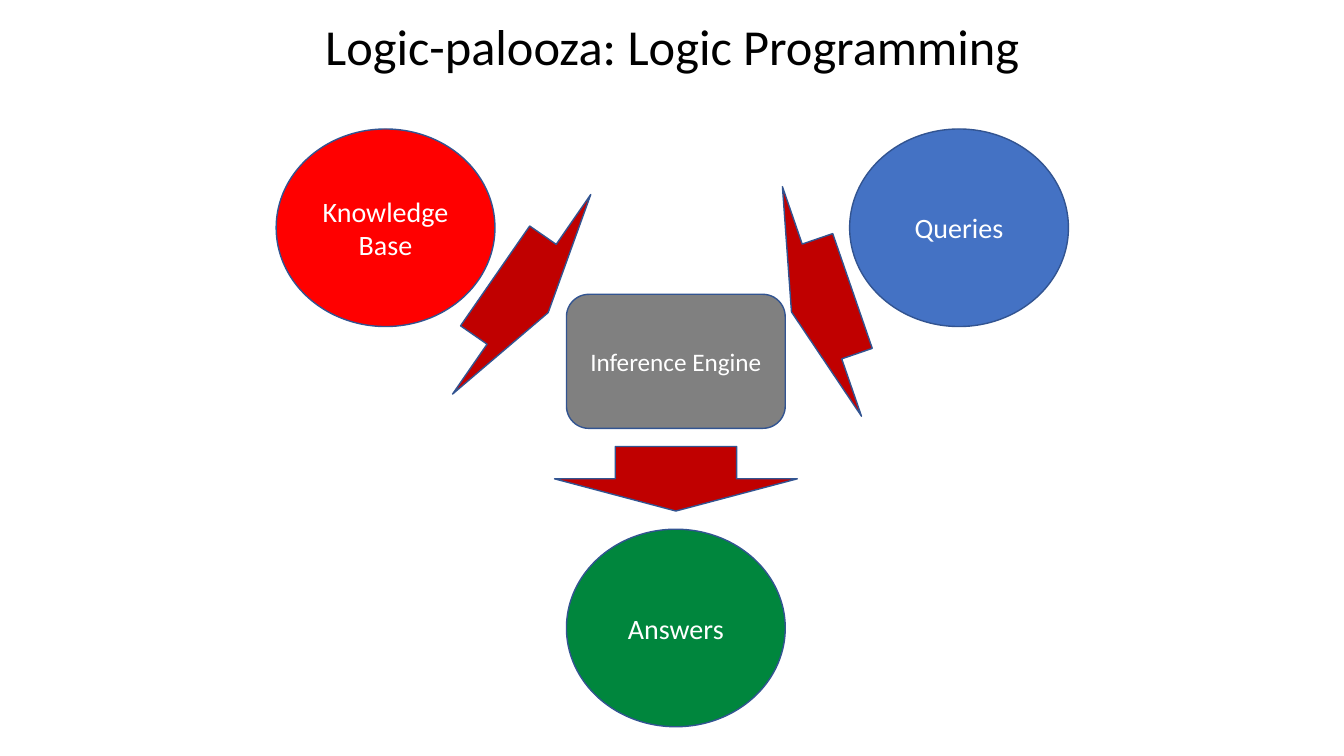
from dataclasses import dataclass

from pptx import Presentation
from pptx.dml.color import RGBColor
from pptx.enum.shapes import MSO_SHAPE
from pptx.enum.text import MSO_ANCHOR, PP_ALIGN
from pptx.util import Inches, Pt

SLIDE_WIDTH = Inches(13.33)
SLIDE_HEIGHT = Inches(7.5)
CENTRE_COLUMN = 50.29
OUTER_COLUMNS = 28.69, 71.36
CIRCLE_SIZE = 16.28, 26.13
ENGINE_SIZE = 16.28, 17.73
ARROW_SIZE = 18.07, 8.53


@dataclass(frozen=True)
class Theme:
    font: str = "Calibri"
    title_size: int = 36
    circle_size: int = 20
    engine_size: int = 18
    title: str = "000000"
    label: str = "FFFFFF"
    outline: str = "325491"
    knowledge: str = "FF0000"
    queries: str = "4472C4"
    answers: str = "00863D"
    engine: str = "808080"
    arrow: str = "C00000"


THEME = Theme()


def columns(count):
    return round(SLIDE_WIDTH * count / 100)


def rows(count):
    return round(SLIDE_HEIGHT * count / 100)


def write(shape, text, size, color):
    frame = shape.text_frame
    frame.word_wrap = True
    frame.vertical_anchor = MSO_ANCHOR.MIDDLE
    paragraph = frame.paragraphs[0]
    paragraph.alignment = PP_ALIGN.CENTER
    run = paragraph.add_run()
    run.text = text
    run.font.name = THEME.font
    run.font.size = Pt(size)
    run.font.color.rgb = RGBColor.from_string(color)
    return paragraph


def add_title(slide, text):
    title = slide.shapes.title
    title.left, title.top = columns(6.9), 0
    title.width, title.height = columns(86.27), rows(13.07)
    paragraph = write(title, text, THEME.title_size, THEME.title)
    paragraph.line_spacing = 0.9


def add_centred(diagram, kind, centre, size, color):
    (column, row), (width, height) = centre, size
    shape = diagram.shapes.add_shape(
        kind, columns(column - width / 2), rows(row - height / 2),
        columns(width), rows(height))
    shape.shadow.inherit = False
    shape.fill.solid()
    shape.fill.fore_color.rgb = RGBColor.from_string(color)
    shape.line.color.rgb = RGBColor.from_string(THEME.outline)
    shape.line.width = Pt(1)
    return shape


def add_circle(diagram, text, centre, color):
    circle = add_centred(diagram, MSO_SHAPE.OVAL, centre, CIRCLE_SIZE, color)
    write(circle, text, THEME.circle_size, THEME.label)


def add_engine(diagram, text, centre):
    engine = add_centred(diagram, MSO_SHAPE.ROUNDED_RECTANGLE, centre,
                         ENGINE_SIZE, THEME.engine)
    write(engine, text, THEME.engine_size, THEME.label)


def add_arrow(diagram, centre, rotation):
    arrow = add_centred(diagram, MSO_SHAPE.UP_ARROW, centre, ARROW_SIZE, THEME.arrow)
    arrow.rotation = rotation


def main():
    presentation = Presentation()
    presentation.slide_width = SLIDE_WIDTH
    presentation.slide_height = SLIDE_HEIGHT
    slide = presentation.slides.add_slide(presentation.slide_layouts.get_by_name("Title Only"))
    add_title(slide, "Logic-palooza: Logic Programming")

    diagram = slide.shapes.add_group_shape()
    left, right = OUTER_COLUMNS
    add_circle(diagram, "Knowledge Base", (left, 30.13), THEME.knowledge)
    add_circle(diagram, "Queries", (right, 30.13), THEME.queries)
    add_circle(diagram, "Answers", (CENTRE_COLUMN, 83.07), THEME.answers)
    add_engine(diagram, "Inference Engine", (CENTRE_COLUMN, 47.8))
    add_arrow(diagram, (38.81, 38.93), 124.7)
    add_arrow(diagram, (61.16, 39.87), 251)
    add_arrow(diagram, (CENTRE_COLUMN, 63.33), 180)

    presentation.save("out.pptx")


if __name__ == "__main__":
    main()
